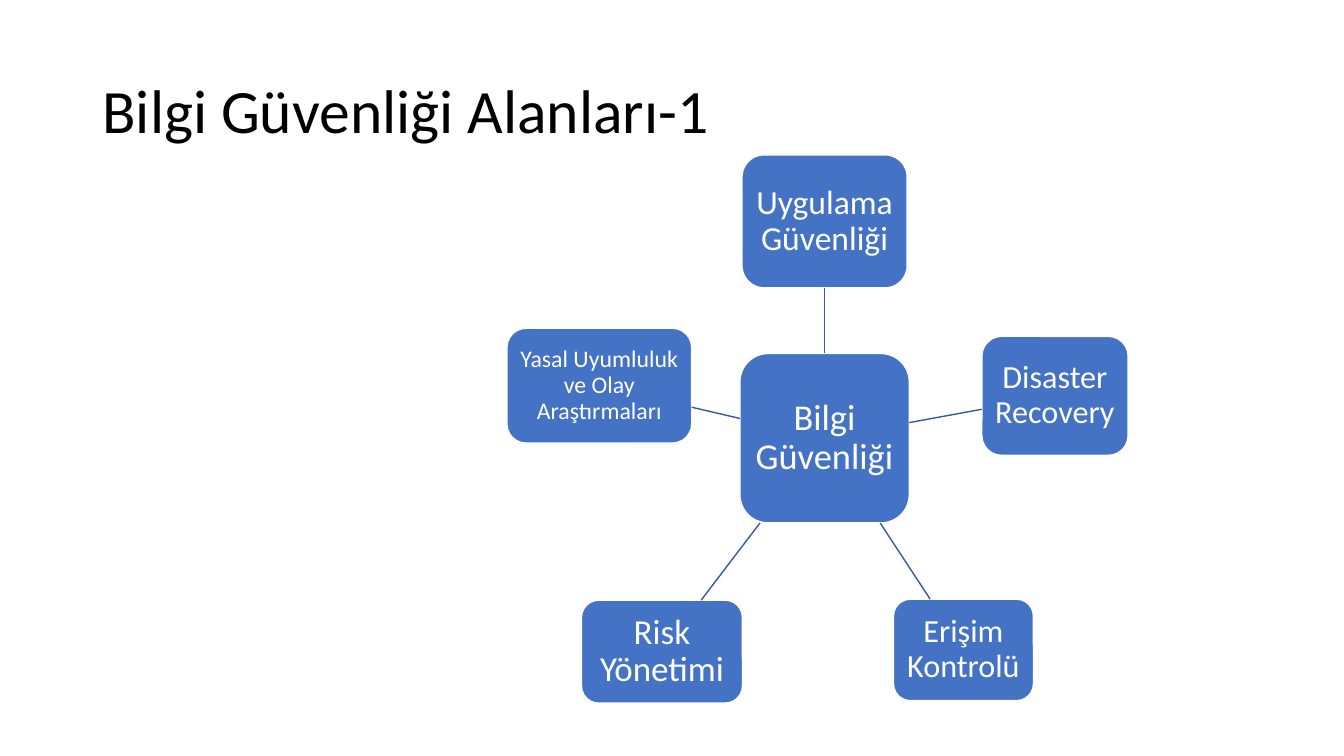
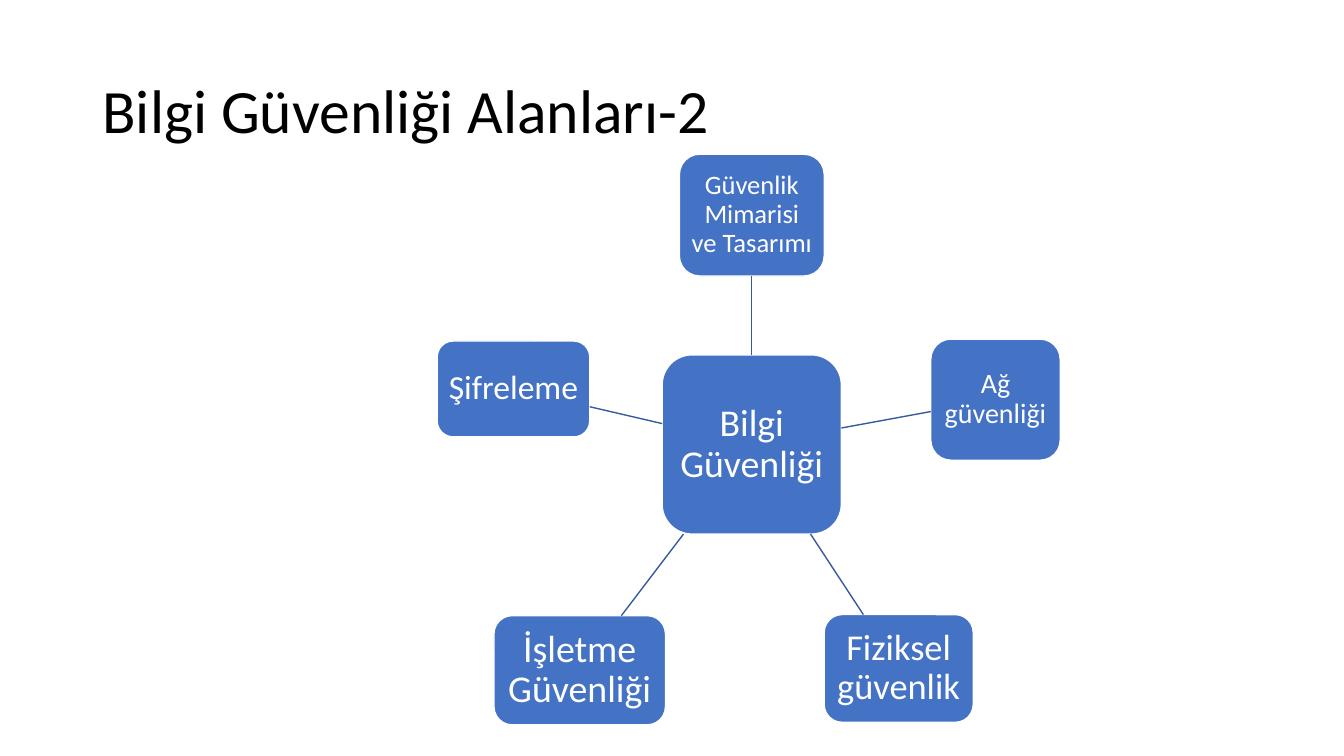
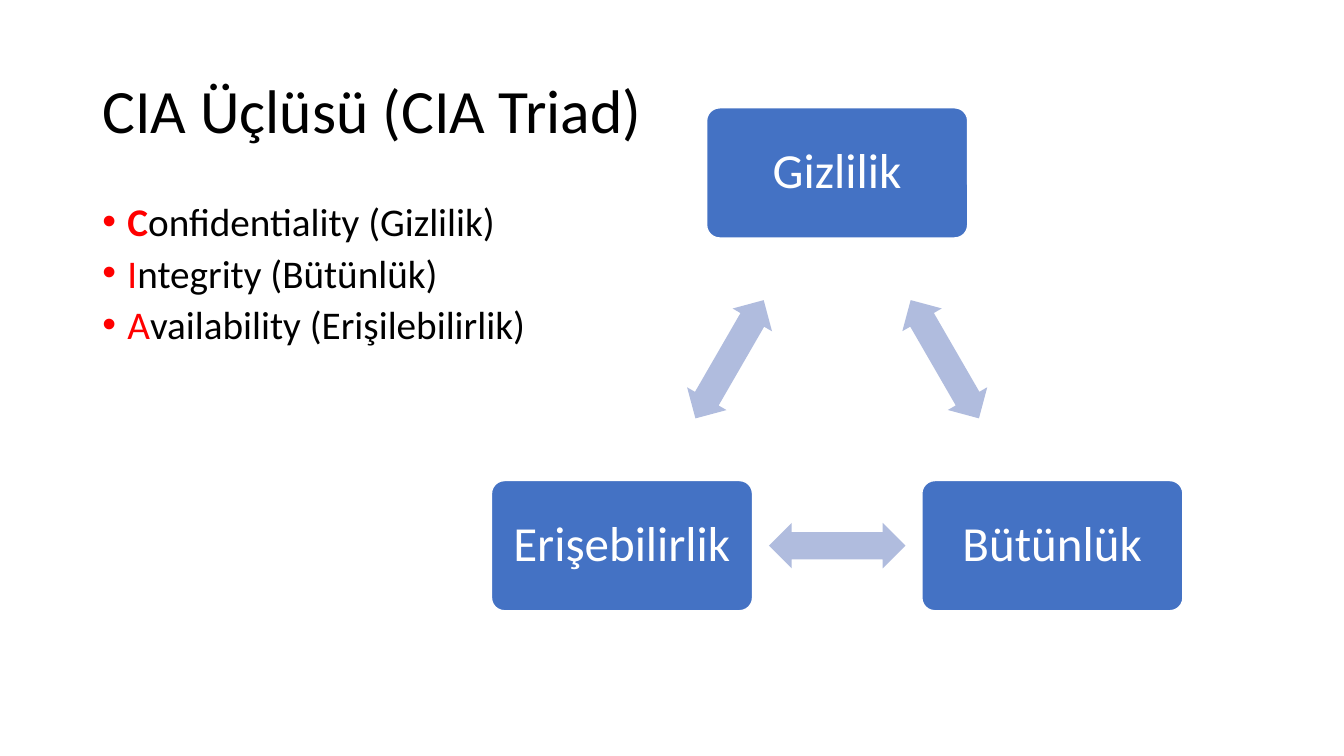
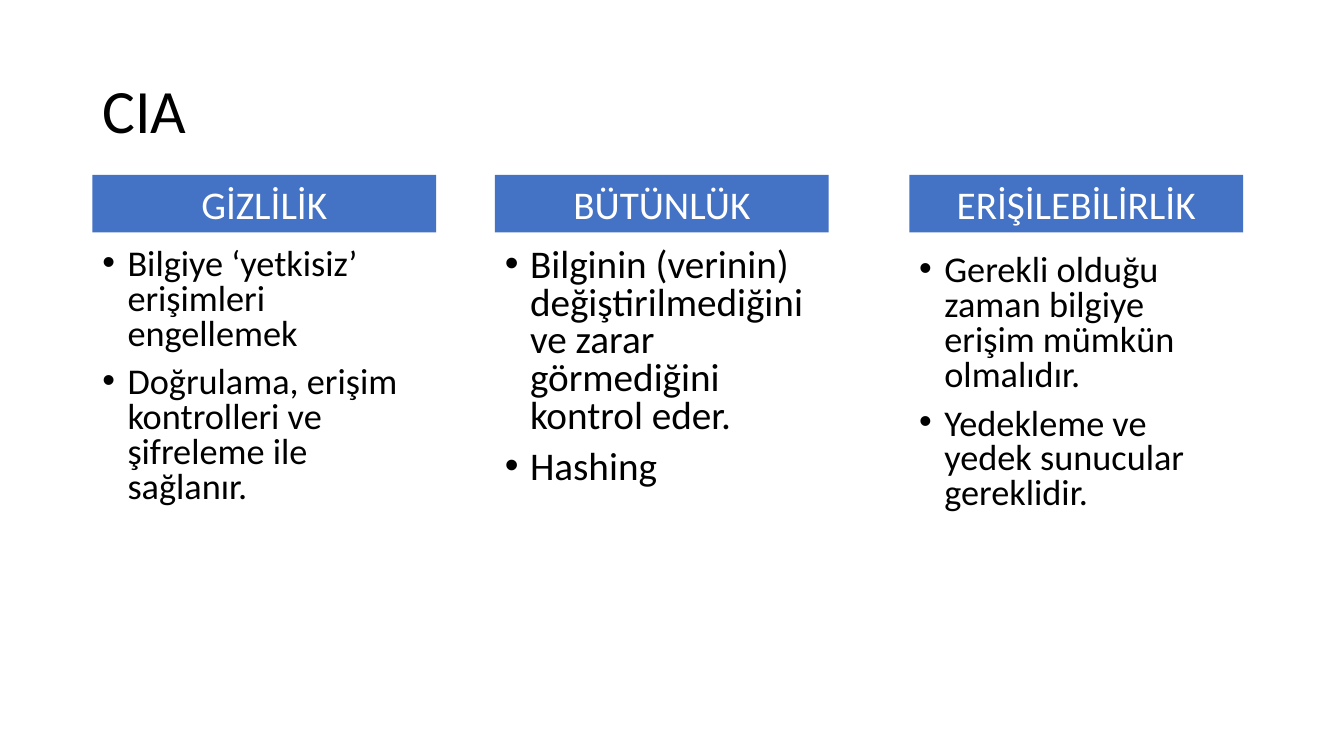
"""Build four slides on the fields of information security and the CIA triad."""
import math

from lxml import etree
from pptx import Presentation
from pptx.dml.color import RGBColor
from pptx.enum import shapes as kinds
from pptx.enum import text as styles
from pptx.oxml.ns import qn
from pptx.util import Pt

FONT = "Calibri"
BLUE = RGBColor(0x44, 0x72, 0xC4)
LINE_BLUE = RGBColor(0x36, 0x5B, 0x9D)
PALE_BLUE = RGBColor(0xB0, 0xBC, 0xDE)
WHITE = RGBColor(0xFF, 0xFF, 0xFF)
BLACK = RGBColor(0x00, 0x00, 0x00)
RED = RGBColor(0xFF, 0x00, 0x00)
TITLE_LAYOUT = 5
MARGIN = 66
SPOKES = [(0, -1.28), (1.36, -0.25), (0.82, 1.25), (-0.96, 1.26), (-1.33, -0.31)]

FIELDS_1 = [
    ("Uygulama Güvenliği", 24, 118, 95),
    ("Disaster Recovery", 23, 104.5, 85),
    ("Erişim Kontrolü", 23, 100, 72.5),
    ("Risk Yönetimi", 25, 115, 73.5),
    ("Yasal Uyumluluk ve Olay Araştırmaları", 17, 132, 82),
]
FIELDS_2 = [
    ("Güvenlik Mimarisi ve Tasarımı", 19, 103.5, 87),
    ("Ağ güvenliği", 20, 92.5, 86.5),
    ("Fiziksel güvenlik", 26, 106.5, 77),
    ("İşletme Güvenliği", 27, 122.5, 78),
    ("Şifreleme", 24, 109, 68.5),
]
TRIAD_WORDS = [
    [("C", RED, True), ("onfidentiality (Gizlilik)", BLACK, False)],
    [("I", RED, False), ("ntegrity (Bütünlük)", BLACK, False)],
    [("A", RED, False), ("vailability (Erişilebilirlik)", BLACK, False)],
]
COLUMNS = [
    ("GİZLİLİK", 66, 245.5, 174, 245.5, 25.9, [
        "Bilgiye ‘yetkisiz’ erişimleri engellemek",
        "Doğrulama, erişim kontrolleri ve şifreleme ile sağlanır."]),
    ("BÜTÜNLÜK", 353.5, 238.5, 174, 245.5, 28, [
        "Bilginin (verinin) değiştirilmediğini ve zarar görmediğini kontrol eder.",
        "Hashing"]),
    ("ERİŞİLEBİLİRLİK", 649.5, 238.5, 178.5, 238.5, 25.9, [
        "Gerekli olduğu zaman bilgiye erişim mümkün olmalıdır.",
        "Yedekleme ve yedek sunucular gereklidir."]),
]


def add_run(paragraph, words, size, colour, bold=False):
    """Append one formatted run to a paragraph."""
    run = paragraph.add_run()
    run.text = words
    run.font.name = FONT
    run.font.size = Pt(size)
    run.font.bold = bold
    run.font.color.rgb = colour


def add_titled_slide(presentation, title):
    """Add a title-only slide with the shared title style."""
    slide = presentation.slides.add_slide(presentation.slide_layouts[TITLE_LAYOUT])
    shape = slide.shapes.title
    shape.left, shape.top, shape.width, shape.height = Pt(MARGIN), Pt(29), Pt(828), Pt(104)
    frame = shape.text_frame
    frame.auto_size = styles.MSO_AUTO_SIZE.NONE
    frame.vertical_anchor = styles.MSO_ANCHOR.MIDDLE
    paragraph = frame.paragraphs[0]
    paragraph.alignment = styles.PP_ALIGN.LEFT
    paragraph.line_spacing = 0.9
    add_run(paragraph, title, 44, BLACK)
    return slide


def add_centred_shape(slide, kind, centre, width, height, colour):
    """Add a flat filled shape around a centre point."""
    x, y = centre
    shape = slide.shapes.add_shape(
        kind, Pt(x - width / 2), Pt(y - height / 2), Pt(width), Pt(height))
    shape.shadow.inherit = False
    shape.fill.solid()
    shape.fill.fore_color.rgb = colour
    shape.line.fill.background()
    return shape


def label_shape(shape, words, size, inset=None):
    """Write centred white text in a shape."""
    frame = shape.text_frame
    frame.word_wrap = True
    frame.vertical_anchor = styles.MSO_ANCHOR.MIDDLE
    if inset is not None:
        frame.margin_left = frame.margin_right = Pt(inset)
        frame.margin_top = frame.margin_bottom = Pt(inset)
    paragraph = frame.paragraphs[0]
    paragraph.alignment = styles.PP_ALIGN.CENTER
    paragraph.line_spacing = 0.9
    add_run(paragraph, words, size, WHITE)


def add_node(slide, words, size, centre, width, height, inset_ratio=0.18):
    """Add a rounded blue box with a white outline and label."""
    node = add_centred_shape(
        slide, kinds.MSO_SHAPE.ROUNDED_RECTANGLE, centre, width, height, BLUE)
    node.line.color.rgb = WHITE
    node.line.width = Pt(1)
    label_shape(node, words, size, size * inset_ratio)
    return node


def edge_point(centre, width, height, target):
    """Return where the line from a box's centre to a target leaves the box."""
    dx, dy = target[0] - centre[0], target[1] - centre[1]
    reach = min(half / abs(step) for half, step in ((width / 2, dx), (height / 2, dy)) if step)
    return centre[0] + dx * reach, centre[1] + dy * reach


def add_spoke(slide, start, end):
    """Add a thin straight connector between two points."""
    connector = slide.shapes.add_connector(
        kinds.MSO_CONNECTOR.STRAIGHT, *(Pt(value) for value in (*start, *end)))
    connector.line.color.rgb = LINE_BLUE
    connector.line.width = Pt(1)
    etree.SubElement(connector._element.spPr, qn("a:effectLst"))
    return connector


def add_hub_diagram(slide, centre, side, size, fields):
    """Add a hub with its fields around it, spaced in units of the hub's side."""
    hub = add_node(slide, "Bilgi Güvenliği", size, centre, side, side)
    for (dx, dy), (words, field_size, width, height) in zip(SPOKES, fields):
        field_centre = (centre[0] + dx * side, centre[1] + dy * side)
        node = add_node(slide, words, field_size, field_centre, width, height)
        spoke = add_spoke(slide, edge_point(centre, side, side, field_centre),
                          edge_point(field_centre, width, height, centre))
        if dx == 0:
            spoke.begin_connect(hub, 0)
            spoke.end_connect(node, 2)


def add_bullets(slide, left, top, width, height, size, items):
    """Add a bulleted text box whose items are lists of coloured runs."""
    frame = slide.shapes.add_textbox(Pt(left), Pt(top), Pt(width), Pt(height)).text_frame
    frame.word_wrap = True
    for index, runs in enumerate(items):
        paragraph = frame.add_paragraph() if index else frame.paragraphs[0]
        paragraph.line_spacing = 0.8
        paragraph.space_before = Pt(10)
        properties = paragraph._p.get_or_add_pPr()
        properties.set("marL", str(Pt(18)))
        properties.set("indent", str(-Pt(18)))
        etree.SubElement(properties, qn("a:buFont"), typeface="Arial")
        etree.SubElement(properties, qn("a:buChar"), char="•")
        for words, colour, bold in runs:
            add_run(paragraph, words, size, colour, bold)


def add_triad(slide, centre, radius):
    """Add three boxes on a circle with double arrows between them."""
    corners = [(centre[0] + radius * math.cos(math.radians(angle)),
                centre[1] + radius * math.sin(math.radians(angle))) for angle in (-90, 30, 150)]
    for index, words in enumerate(("Gizlilik", "Bütünlük", "Erişebilirlik")):
        corner, following = corners[index], corners[(index + 1) % 3]
        node = add_node(slide, words, 35, corner, 186.5, 93, 0.3)
        node.adjustments[0] = 0.1
        middle = ((corner[0] + following[0]) / 2, (corner[1] + following[1]) / 2)
        arrow = add_centred_shape(
            slide, kinds.MSO_SHAPE.LEFT_RIGHT_ARROW, middle, 97.5, 32.5, PALE_BLUE)
        arrow.adjustments[0], arrow.adjustments[1] = 0.6, 0.5
        arrow.rotation = 60 + 120 * index


def add_column(slide, heading, left, width, body_top, body_width, size, items):
    """Add a blue heading band with bullets below it."""
    band = add_centred_shape(
        slide, kinds.MSO_SHAPE.RECTANGLE, (left + width / 2, 145.5), width, 41, BLUE)
    label_shape(band, heading, 28)
    band.text_frame.paragraphs[0].line_spacing = 1.0
    add_bullets(slide, left, body_top, body_width, 195, size,
                [[(words, BLACK, False)] for words in items])


def main():
    """Build and save the presentation."""
    presentation = Presentation()
    presentation.slide_width, presentation.slide_height = Pt(960), Pt(540)

    slide = add_titled_slide(presentation, "Bilgi Güvenliği Alanları-1")
    add_hub_diagram(slide, (589, 313), 121, 26, FIELDS_1)

    slide = add_titled_slide(presentation, "Bilgi Güvenliği Alanları-2")
    add_hub_diagram(slide, (537, 317.5), 128, 27, FIELDS_2)

    slide = add_titled_slide(presentation, "CIA Üçlüsü (CIA Triad)")
    add_bullets(slide, MARGIN, 144, 368.5, 113, 28, TRIAD_WORDS)
    add_triad(slide, (598, 301), 177.5)

    slide = add_titled_slide(presentation, "CIA")
    for column in COLUMNS:
        add_column(slide, *column)

    presentation.save("out.pptx")


if __name__ == "__main__":
    main()
